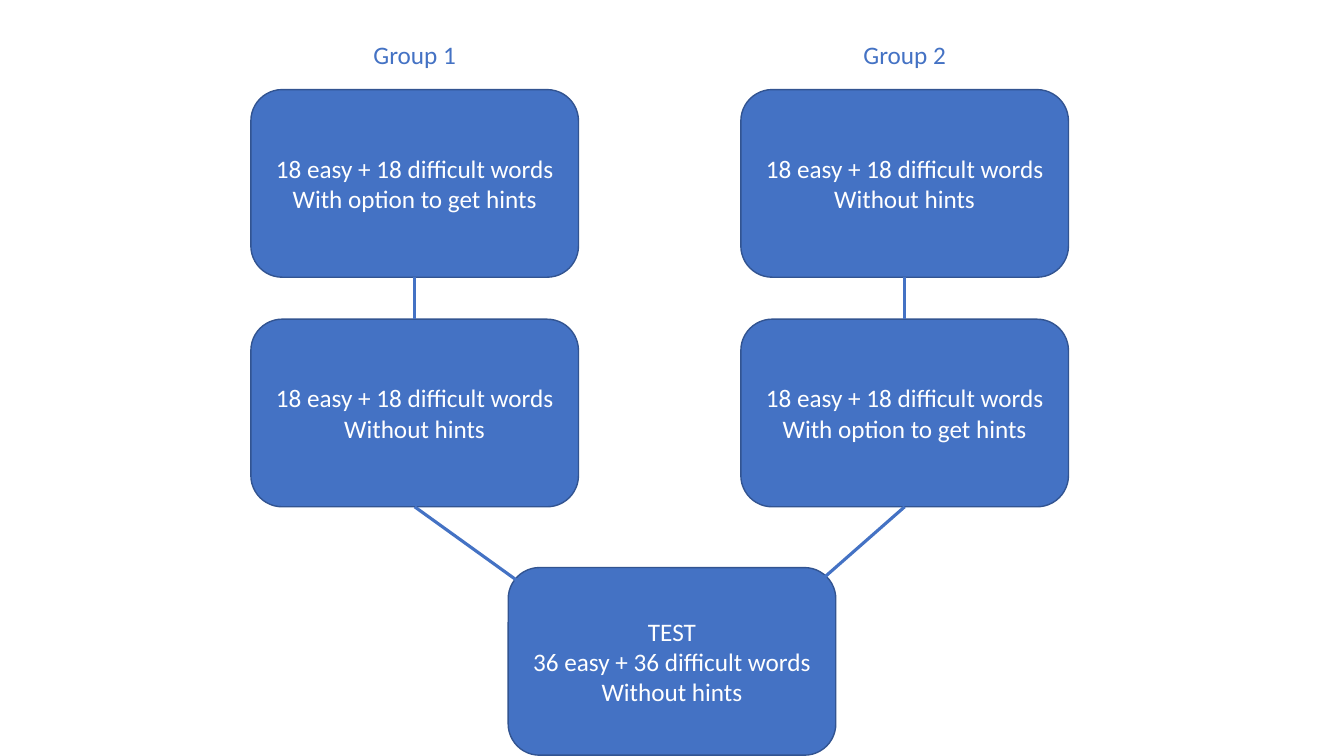
from lxml import etree
from pptx import Presentation
from pptx.dml.color import RGBColor
from pptx.enum.shapes import MSO_CONNECTOR, MSO_SHAPE
from pptx.enum.text import MSO_ANCHOR, PP_ALIGN
from pptx.oxml.ns import qn
from pptx.util import Pt

ROUNDED = MSO_SHAPE.FLOWCHART_ALTERNATE_PROCESS
STRAIGHT = MSO_CONNECTOR.STRAIGHT
CENTER, MIDDLE = PP_ALIGN.CENTER, MSO_ANCHOR.MIDDLE
COLORS = {"blue": "4472C4", "border": "325491", "white": "FFFFFF"}
RGB = {name: RGBColor.from_string(value) for name, value in COLORS.items()}

BOX_W, BOX_H = 234, 134
LABEL_W, LABEL_H = 158, 29
ROW_TOPS = (64, 228)
TEST_LEFT, TEST_TOP = 363, 405.4
WORDS = "18 easy + 18 difficult words"
HINTS, NO_HINTS = "With option to get hints", "Without hints"

prs = Presentation()
prs.slide_width, prs.slide_height = Pt(960), Pt(540)
s = prs.slides.add_slide(prs.slide_layouts[6])


def write_lines(sp, lines, color):
    tf = sp.text_frame
    tf.word_wrap = True
    tf.vertical_anchor = MIDDLE
    for i, line in enumerate(lines):
        p = tf.add_paragraph() if i else tf.paragraphs[0]
        p.alignment = CENTER
        r = p.add_run()
        r.text = line
        r.font.name, r.font.size = "Calibri", Pt(18)
        r.font.color.rgb = RGB[color]


# Group name, left edge, order of the two sessions, end of the line to the test
groups = [
    ("Group 1", 179.2, (HINTS, NO_HINTS), (374.4, 418.3)),
    ("Group 2", 529.2, (NO_HINTS, HINTS), (585.4, 415.4)),
]

# Session boxes and the final test box
boxes = [(left, top, (WORDS, hint))
         for _, left, hints, _ in groups
         for top, hint in zip(ROW_TOPS, hints)]
boxes.append((TEST_LEFT, TEST_TOP,
              ("TEST", "36 easy + 36 difficult words", NO_HINTS)))
for left, top, lines in boxes:
    sp = s.shapes.add_shape(ROUNDED, Pt(left), Pt(top), Pt(BOX_W), Pt(BOX_H))
    sp.shadow.inherit = False
    sp.fill.solid()
    sp.fill.fore_color.rgb = RGB["blue"]
    sp.line.color.rgb = RGB["border"]
    sp.line.width = Pt(1)
    write_lines(sp, lines, "white")

# Group labels and connecting lines
for name, left, _, test_end in groups:
    center = left + BOX_W / 2
    sp = s.shapes.add_textbox(Pt(center - LABEL_W / 2), Pt(24),
                              Pt(LABEL_W), Pt(LABEL_H))
    write_lines(sp, [name], "blue")

    first_end, second_top = ROW_TOPS[0] + BOX_H, ROW_TOPS[1]
    links = [((center, first_end), (center, second_top)),
             ((center, second_top + BOX_H), test_end)]
    for (x1, y1), (x2, y2) in links:
        line = s.shapes.add_connector(STRAIGHT, Pt(x1), Pt(y1), Pt(x2), Pt(y2))
        line.line.color.rgb = RGB["blue"]
        line.line.width = Pt(2.25)
        etree.SubElement(line._element.spPr, qn("a:effectLst"))

prs.save("out.pptx")
